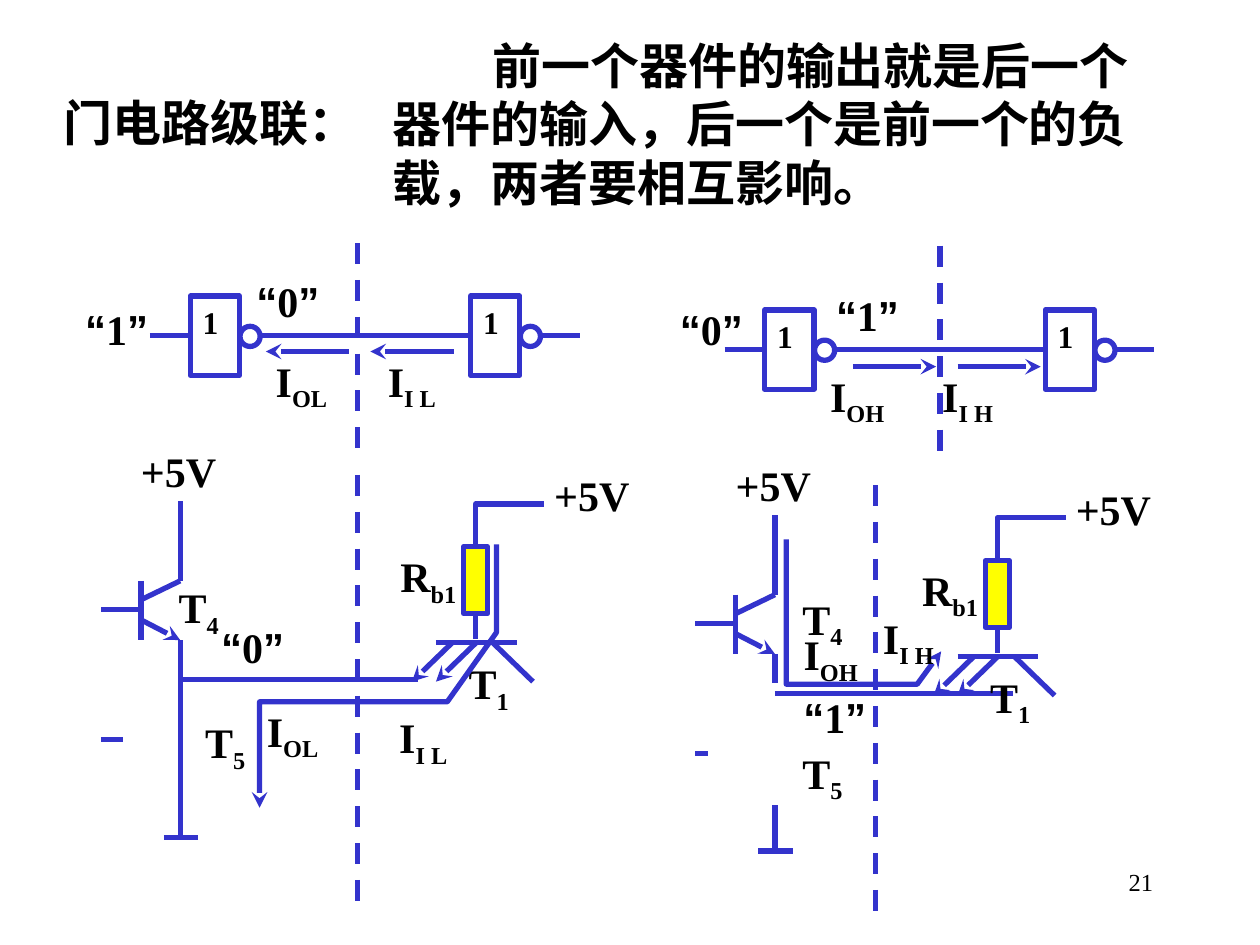
from lxml import etree
from pptx import Presentation
from pptx.dml.color import RGBColor
from pptx.enum.dml import MSO_LINE
from pptx.enum.shapes import MSO_CONNECTOR, MSO_SHAPE
from pptx.enum.text import MSO_ANCHOR, PP_ALIGN
from pptx.oxml.ns import qn
from pptx.util import Inches, Pt

STRAIGHT = MSO_CONNECTOR.STRAIGHT
RECTANGLE, OVAL = MSO_SHAPE.RECTANGLE, MSO_SHAPE.OVAL
DASH = MSO_LINE.DASH
MIDDLE = MSO_ANCHOR.MIDDLE
LEFT, CENTER, RIGHT = PP_ALIGN.LEFT, PP_ALIGN.CENTER, PP_ALIGN.RIGHT

SLIDE_WIDTH, SLIDE_HEIGHT = Inches(10), Inches(7.5)
COLUMNS, ROWS = 100, 75
INK, BLUE, YELLOW = "000000", "3333CC", "FFFF00"
SERIF, SANS = "Times New Roman", "Arial"
BOTTOM_SIDE, LEFT_SIDE = 2, 1
LABEL_ROWS = 5


def col(count):
    return round(SLIDE_WIDTH * count / COLUMNS)


def row(count):
    return round(SLIDE_HEIGHT * count / ROWS)


def color(hex_code):
    return RGBColor.from_string(hex_code)


def style_line(line, arrow=False):
    line.color.rgb = color(BLUE)
    line.width = Pt(3)
    if arrow:
        etree.SubElement(line._get_or_add_ln(), qn("a:tailEnd"), type="stealth")


def add_wire(slide, x1, y1, x2, y2, arrow=False, dashed=False):
    wire = slide.shapes.add_connector(STRAIGHT, col(x1), row(y1), col(x2), row(y2))
    style_line(wire.line)
    if dashed:
        wire.line.dash_style = DASH
    if arrow:
        style_line(wire.line, arrow=True)
    etree.SubElement(wire._element.spPr, qn("a:effectLst"))
    return wire


def add_bent_wire(slide, points, arrow=False):
    corners = [(col(x), row(y)) for x, y in points]
    builder = slide.shapes.build_freeform(*corners[0], scale=1.0)
    builder.add_line_segments(corners[1:], close=False)
    wire = builder.convert_to_shape()
    wire.shadow.inherit = False
    wire.fill.background()
    style_line(wire.line, arrow)


def add_part(slide, kind, x, y, width, height, fill=None):
    part = slide.shapes.add_shape(kind, col(x), row(y), col(width), row(height))
    part.shadow.inherit = False
    if fill:
        part.fill.solid()
        part.fill.fore_color.rgb = color(fill)
    else:
        part.fill.background()
    style_line(part.line)
    return part


def add_label(slide, x, y, width, pieces, height=LABEL_ROWS, size=24, bold=True,
              align=LEFT, font=SERIF):
    box = slide.shapes.add_textbox(col(x), row(y), col(width), row(height))
    box.text_frame.word_wrap = True
    paragraph = box.text_frame.paragraphs[0]
    paragraph.alignment = align
    paragraph.font.size = Pt(size)
    paragraph.font.bold = bold
    paragraph.font.name = font
    paragraph.font.color.rgb = color(INK)
    for piece in pieces:
        paragraph.add_run().text = piece
    return box


def add_symbol(slide, x, y, width, letter, subscript):
    box = add_label(slide, x, y, width, [letter, subscript])
    index = box.text_frame.paragraphs[0].runs[1]
    index._r.get_or_add_rPr().set("baseline", "-25000")


def add_level(slide, x, y, digit):
    box = add_label(slide, x, y, 9.5, ["“", digit, "”"], align=CENTER, font=SANS)
    box.text_frame.paragraphs[0].runs[1].font.name = SERIF


def add_gate(slide, x, y):
    body = add_part(slide, RECTANGLE, x, y, 3.9, 6.3)
    add_part(slide, OVAL, x + 3.95, y + 2.4, 1.6, 1.6)
    add_label(slide, x, y + 0.1, 4.5, ["1"], height=4, size=18)
    return body


def add_gate_pair(slide, dx, dy):
    driver = add_gate(slide, 15.1 + dx, 23.5 + dy)
    load = add_gate(slide, 37.35 + dx, 23.5 + dy)
    level = 26.65 + dy
    source = add_wire(slide, 11.9 + dx, level, 15.1 + dx, level)
    source.end_connect(driver, LEFT_SIDE)
    link = add_wire(slide, 20.6 + dx, level, 37.35 + dx, level)
    link.end_connect(load, LEFT_SIDE)
    add_wire(slide, 42.8 + dx, level, 46 + dx, level)


def add_output_stage(slide, dx, dy):
    base, collector = 11.2 + dx, 14.3 + dx
    add_wire(slide, base, 46.1 + dy, base, 50.8 + dy)
    add_wire(slide, base, 49.2 + dy, collector, 50.8 + dy, arrow=True)
    add_wire(slide, base, 47.6 + dy, collector, 46.1 + dy)
    add_wire(slide, base, 48.4 + dy, 8 + dx, 48.4 + dy)
    add_wire(slide, collector, 46.1 + dy, collector, 39.8 + dy)
    add_wire(slide, 13 + dx, 66.45 + dy, 15.7 + dx, 66.45 + dy)
    add_wire(slide, collector, 53.95 + dy, 33.2 + dx, 53.95 + dy)
    add_label(slide, 10.2 + dx, 34.9 + dy, 14.5, ["+5V"])


def add_input_stage(slide, dx, dy):
    bar = 51 + dy
    for emitter in (35.9, 37.8):
        add_wire(slide, emitter + dx, bar, emitter - 3.2 + dx, bar + 3.1, arrow=True)
    add_wire(slide, 34.6 + dx, bar, 41 + dx, bar)
    add_wire(slide, 39.1 + dx, bar, 42.3 + dx, bar + 3.1)
    add_bent_wire(slide, [(37.75 + dx, 43.4 + dy), (37.75 + dx, 40 + dy),
                          (43.2 + dx, 40 + dy)])
    resistor = add_part(slide, RECTANGLE, 36.8 + dx, 43.4 + dy, 1.9, 5.3, YELLOW)
    lead = add_wire(slide, 37.75 + dx, 48.7 + dy, 37.75 + dx, 50.7 + dy)
    lead.begin_connect(resistor, BOTTOM_SIDE)
    add_symbol(slide, 36.2 + dx, 51.7 + dy, 7.2, "T", "1")
    add_symbol(slide, 30.8 + dx, 43.2 + dy, 8.7, "R", "b1")
    add_label(slide, 43 + dx, 36.8 + dy, 12.6, ["+5V"])


def add_heading(slide):
    title = add_label(slide, 4.1, 6.7, 25.6, ["门电路级联："], height=5.9, size=28)
    title.text_frame.vertical_anchor = MIDDLE
    summary = add_label(
        slide, 30.2, 2.3, 62.8,
        ["前一个器件的输出就是后一个器件的输入，后一个是前一个的负载，两者要相互影响。"],
        height=15, size=28)
    properties = summary.text_frame.paragraphs[0]._p.get_or_add_pPr()
    properties.set("indent", str(col(7.9)))


def main():
    deck = Presentation()
    deck.slide_width, deck.slide_height = SLIDE_WIDTH, SLIDE_HEIGHT
    slide = deck.slides.add_slide(deck.slide_layouts[6])
    add_heading(slide)

    for x, top, bottom in [(28.4, 19.3, 35.9), (28.4, 37.7, 72.4),
                           (74.6, 19.5, 36.1), (69.5, 38.5, 73.1)]:
        add_wire(slide, x, top, x, bottom, dashed=True)

    for dx, dy in [(0, 0), (45.6, 1.1)]:
        add_gate_pair(slide, dx, dy)
    for dx, dy in [(0, 0), (47.2, 1.1)]:
        add_output_stage(slide, dx, dy)
    for dx, dy in [(0, 0), (41.4, 1.1)]:
        add_input_stage(slide, dx, dy)

    for start, end, y in [(27.7, 21.1, 27.9), (36, 29.4, 27.9),
                          (67.7, 74.3, 29.1), (76, 82.6, 29.1)]:
        add_wire(slide, start, y, end, y, arrow=True)

    for x, top, bottom in [(14.3, 50.8, 66.5), (61.5, 51.9, 54.2), (61.5, 63.9, 67.6)]:
        add_wire(slide, x, top, x, bottom)
    for start, end, y in [(8, 9.8, 58.7), (55.2, 56.2, 59.8)]:
        add_wire(slide, start, y, end, y)

    add_bent_wire(slide, [(39.4, 43.2), (39.4, 50.2), (35.5, 55.7), (20.6, 55.7),
                          (20.6, 64.1)], arrow=True)
    add_bent_wire(slide, [(62.4, 42.8), (62.4, 54.3), (72.8, 54.3), (74.7, 51.7)],
                  arrow=True)

    for x, y, digit in [(4.5, 23.6, "1"), (18.1, 21.4, "0"), (15.3, 48.8, "0"),
                        (51.7, 23.6, "0"), (64.1, 22.5, "1"), (61.5, 54.4, "1")]:
        add_level(slide, x, y, digit)
    for x, y, letter, subscript in [
            (20.9, 27.7, "I", "OL"), (29.8, 27.7, "I", "I L"),
            (64.9, 28.9, "I", "OH"), (73.8, 28.9, "I", "I H"),
            (20.2, 55.5, "I", "OL"), (30.7, 56, "I", "I L"),
            (62.8, 49.4, "I", "OH"), (69.1, 48.1, "I", "I H"),
            (13.2, 45.7, "T", "4"), (15.3, 56.4, "T", "5"),
            (62.7, 46.6, "T", "4"), (62.7, 58.8, "T", "5")]:
        add_symbol(slide, x, y, 9, letter, subscript)

    add_label(slide, 71.7, 68.3, 20.8, ["21"], size=14, bold=False, align=RIGHT)
    deck.save("out.pptx")


if __name__ == "__main__":
    main()
